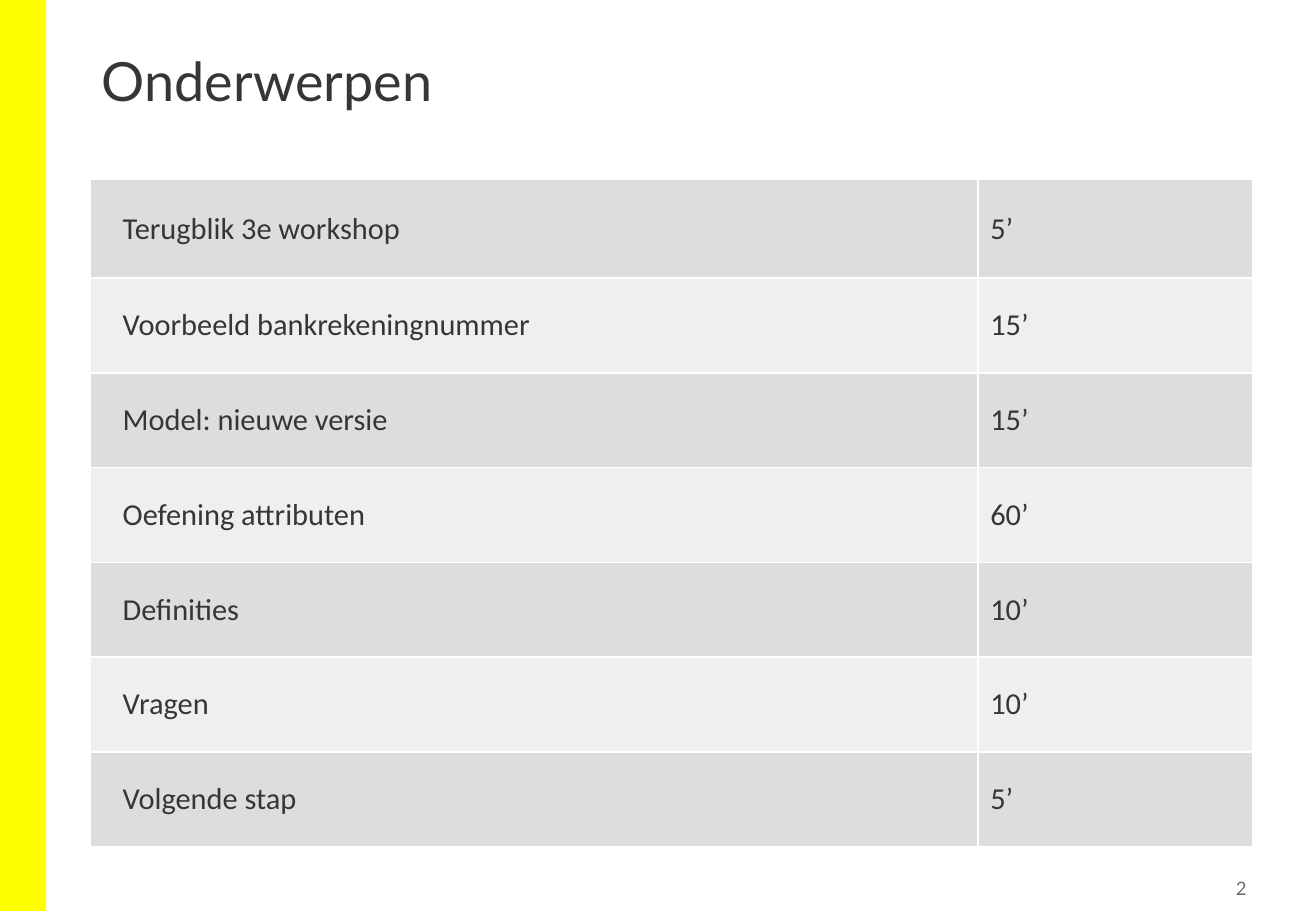
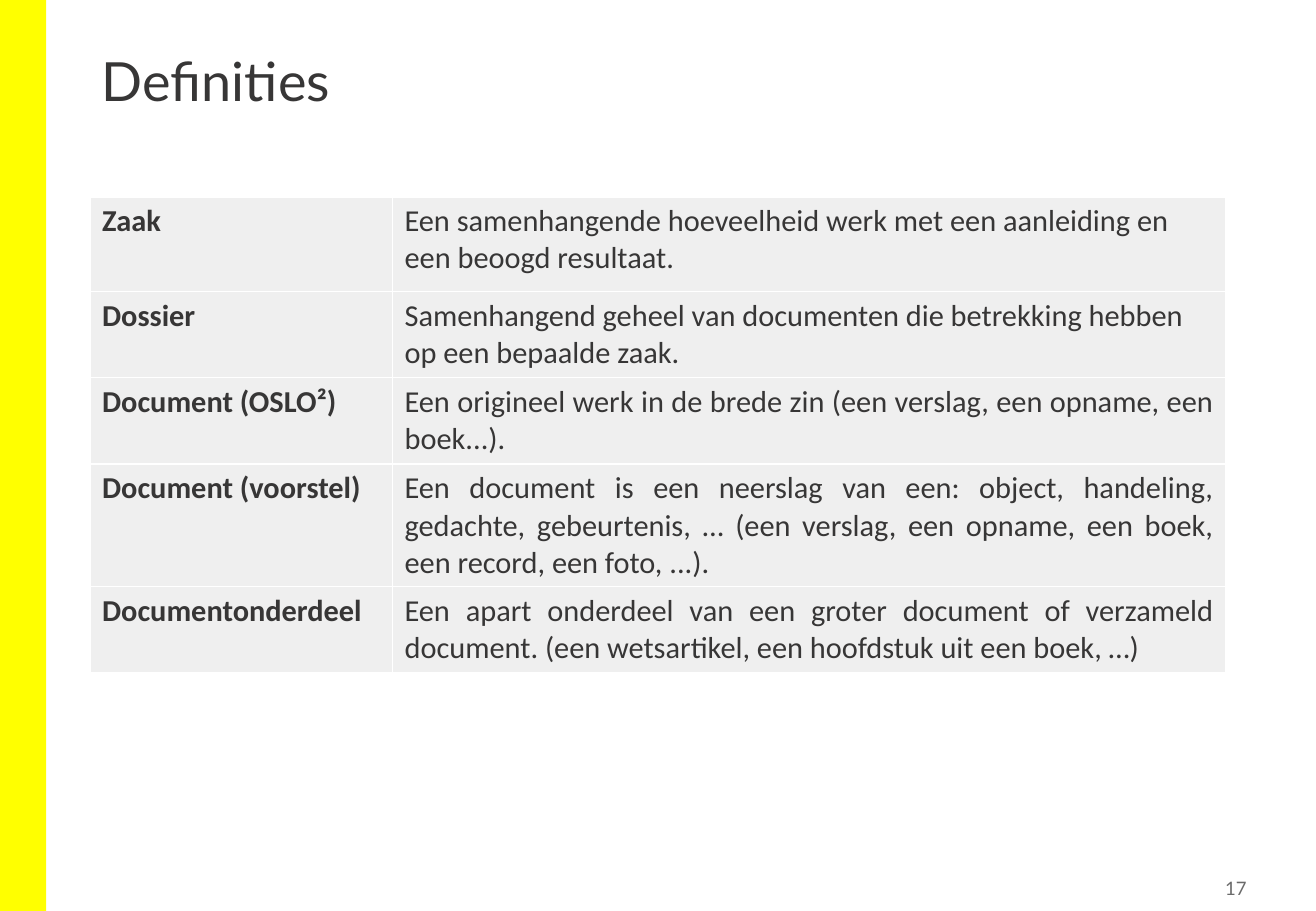
import pptx
import pptx.dml.color
import pptx.enum.shapes
import pptx.enum.text
import pptx.oxml
import pptx.oxml.ns
import pptx.util

EMU_PER_PX = 9144
SLIDE_WIDTH, SLIDE_HEIGHT = 1083, 750
LEFT = 74
CELL_MARGIN = 10
TOPIC_INDENT = 17

COLORS = {
    "band": "FFFF00",
    "text": "373636",
    "number": "6B6B6B",
    "dark_row": "DDDDDD",
    "light_row": "EFEFEF",
    "border": "FFFFFF",
}

ALIGN = pptx.enum.text.PP_ALIGN
ANCHOR = pptx.enum.text.MSO_ANCHOR

TITLE_FONT = {"name": "Lato", "size": pptx.util.Pt(32), "bold": False}
NUMBER_FONT = {"name": "Lato", "size": pptx.util.Pt(11), "bold": False}
BODY_FONT = {"name": "Calibri", "size": pptx.util.Pt(18), "bold": False}
TERM_FONT = {**BODY_FONT, "bold": True}

TOPICS = [
    ("Terugblik 3e workshop", "5’"),
    ("Voorbeeld bankrekeningnummer", "15’"),
    ("Model: nieuwe versie", "15’"),
    ("Oefening attributen", "60’"),
    ("Definities", "10’"),
    ("Vragen", "10’"),
    ("Volgende stap", "5’"),
]

DEFINITIONS = [
    ("Zaak", "Een samenhangende hoeveelheid werk met een aanleiding en een beoogd resultaat.", ALIGN.LEFT),
    ("Dossier", "Samenhangend geheel van documenten die betrekking hebben op een bepaalde zaak.", ALIGN.LEFT),
    ("Document (OSLO²)", "Een origineel werk in de brede zin (een verslag, een opname, een boek...).", ALIGN.JUSTIFY),
    (
        "Document (voorstel)",
        "Een document is een neerslag van een: object, handeling, gedachte, gebeurtenis, … "
        "(een verslag, een opname, een boek, een record, een foto, ...).",
        ALIGN.JUSTIFY,
    ),
    (
        "Documentonderdeel",
        "Een apart onderdeel van een groter document of verzameld document. "
        "(een wetsartikel, een hoofdstuk uit een boek, …)",
        ALIGN.JUSTIFY,
    ),
]


def px(length):
    return pptx.util.Emu(length * EMU_PER_PX)


def rgb(color):
    return pptx.dml.color.RGBColor.from_string(COLORS[color])


def apply_format(target, values):
    for attribute, value in values.items():
        setattr(target, attribute, value)


def write(frame, text, font, color="text", **paragraph_format):
    paragraph = frame.paragraphs[0]
    run = paragraph.add_run()
    run.text = text
    apply_format(paragraph, paragraph_format)
    apply_format(run.font, font)
    run.font.color.rgb = rgb(color)


def add_band(slide):
    band = slide.shapes.add_shape(
        pptx.enum.shapes.MSO_SHAPE.RECTANGLE, 0, 0, px(38), px(SLIDE_HEIGHT)
    )
    band.shadow.inherit = False
    band.fill.solid()
    band.fill.fore_color.rgb = rgb("band")
    band.line.fill.background()


def add_text(slide, box, text, font, color, frame_format, **paragraph_format):
    frame = slide.shapes.add_textbox(*map(px, box)).text_frame
    apply_format(frame, {"word_wrap": True, **frame_format})
    write(frame, text, font, color, **paragraph_format)


def add_slide(deck, title, number):
    slide = deck.slides.add_slide(deck.slide_layouts[6])
    add_band(slide)
    add_text(slide, (LEFT, 40, 934, 108), title, TITLE_FONT, "text",
             {"vertical_anchor": ANCHOR.TOP}, line_spacing=0.9)
    margins = {f"margin_{side}": px(5) for side in ("left", "top", "right", "bottom")}
    add_text(slide, (950, 717, 81, 29), number, NUMBER_FONT, "number",
             {"vertical_anchor": ANCHOR.MIDDLE, **margins}, alignment=ALIGN.RIGHT)
    return slide


def add_borders(cell):
    properties = cell._tc.get_or_add_tcPr()
    namespace = pptx.oxml.ns.nsdecls("a")
    for edge in ("lnL", "lnR", "lnT", "lnB"):
        properties.append(pptx.oxml.parse_xml(
            f'<a:{edge} {namespace} w="{pptx.util.Pt(1)}"><a:solidFill>'
            f'<a:srgbClr val="{COLORS["border"]}"/></a:solidFill></a:{edge}>'
        ))


def add_grid(slide, top, widths, heights):
    table = slide.shapes.add_table(
        len(heights), len(widths), px(LEFT), px(top), px(sum(widths)), px(sum(heights))
    ).table
    apply_format(table, {"first_row": False, "horz_banding": False})
    for column, width in zip(table.columns, widths):
        column.width = px(width)
    for row, height in zip(table.rows, heights):
        row.height = px(height)
    return table


def fill_cell(cell, text, font, fill, cell_format, alignment=ALIGN.LEFT):
    add_borders(cell)
    cell.fill.solid()
    cell.fill.fore_color.rgb = rgb(fill)
    apply_format(cell, cell_format)
    write(cell.text_frame, text, font, alignment=alignment)


def add_agenda(slide):
    agenda = add_grid(slide, 148, (731, 226), [81] + [78] * (len(TOPICS) - 1))
    middle = {"vertical_anchor": ANCHOR.MIDDLE}
    indented = {**middle, "margin_left": px(CELL_MARGIN + TOPIC_INDENT)}
    for row, (topic, duration) in enumerate(TOPICS):
        fill = "light_row" if row % 2 else "dark_row"
        fill_cell(agenda.cell(row, 0), topic, BODY_FONT, fill, indented)
        fill_cell(agenda.cell(row, 1), duration, BODY_FONT, fill, middle)


def add_glossary(slide):
    glossary = add_grid(slide, 162, (249, 686), (78, 71, 71, 101, 71))
    top = {"vertical_anchor": ANCHOR.TOP}
    for row, (term, meaning, alignment) in enumerate(DEFINITIONS):
        fill_cell(glossary.cell(row, 0), term, TERM_FONT, "light_row", top)
        fill_cell(glossary.cell(row, 1), meaning, BODY_FONT, "light_row", top, alignment)


def main():
    deck = pptx.Presentation()
    apply_format(deck, {"slide_width": px(SLIDE_WIDTH), "slide_height": px(SLIDE_HEIGHT)})
    add_agenda(add_slide(deck, "Onderwerpen", "2"))
    add_glossary(add_slide(deck, "Definities", "17"))
    deck.save("out.pptx")


if __name__ == "__main__":
    main()
